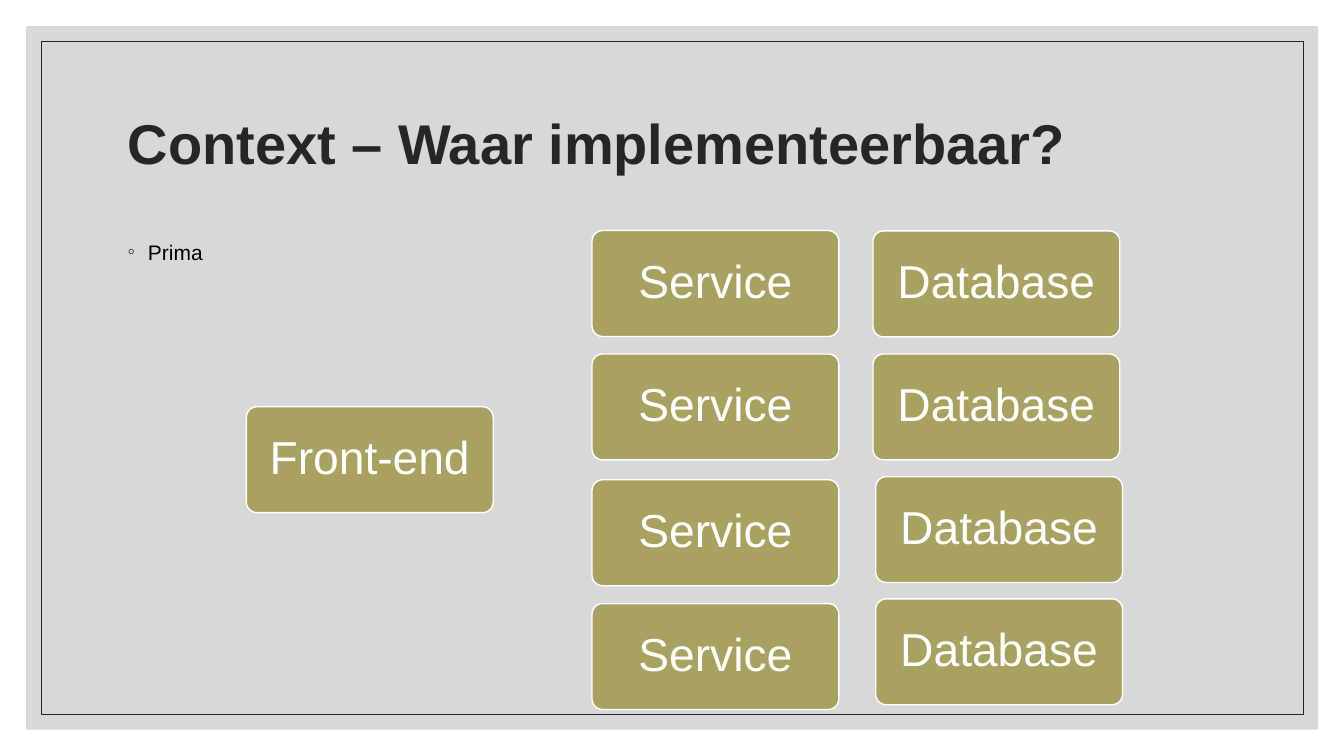
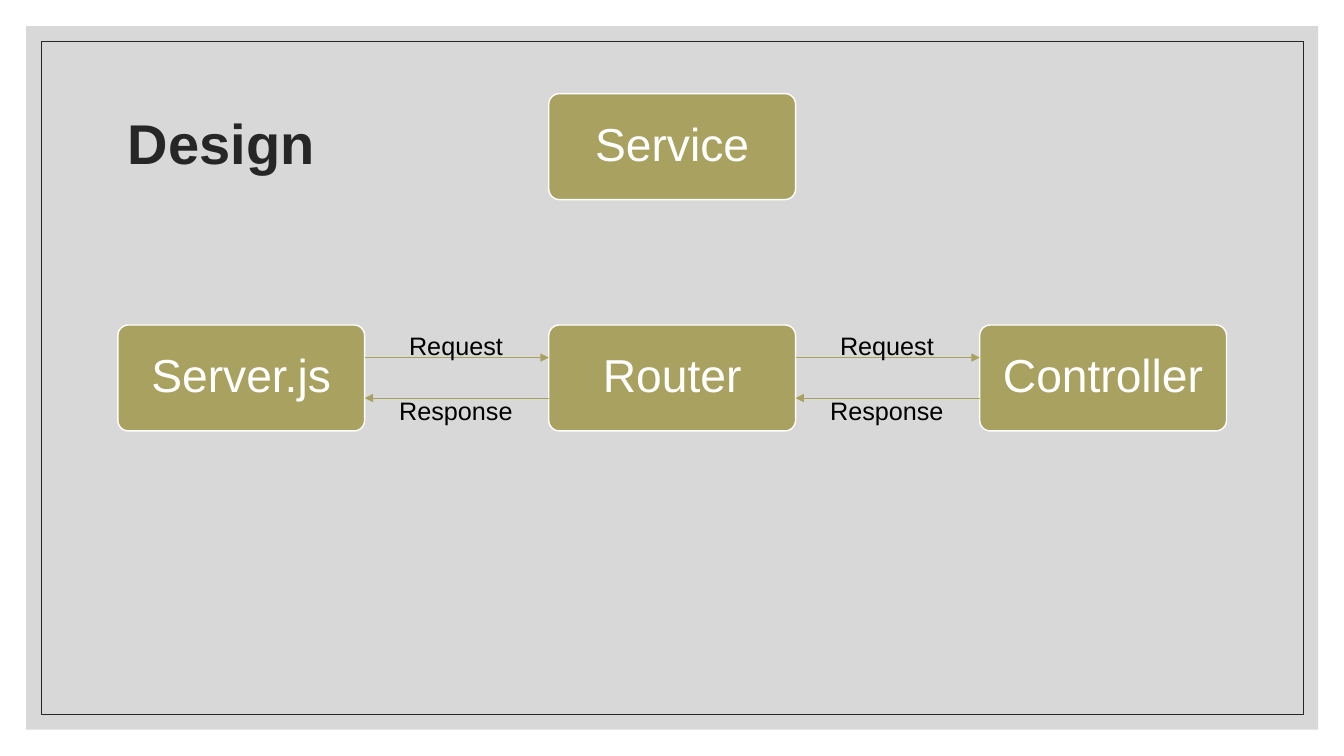
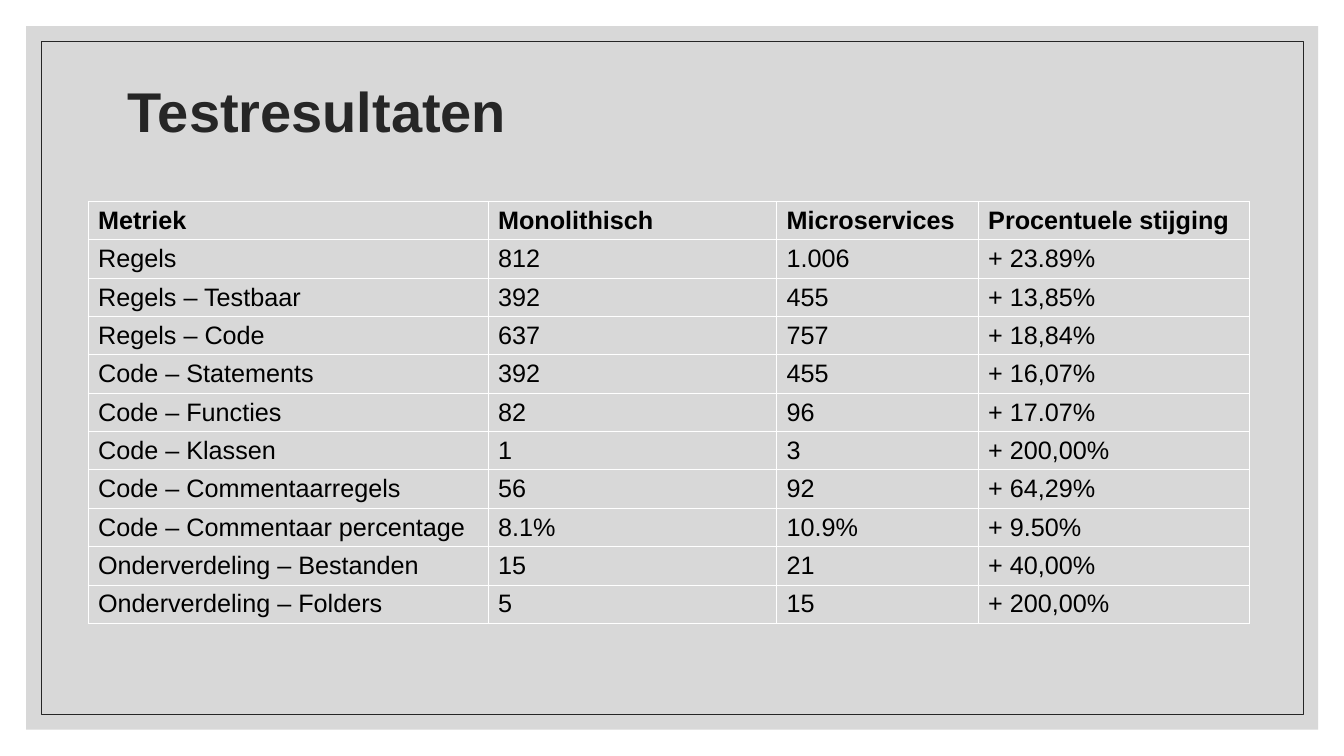
from lxml.etree import SubElement
from pptx import Presentation
from pptx.dml.color import RGBColor
from pptx.enum.shapes import MSO_CONNECTOR, MSO_SHAPE
from pptx.enum.text import MSO_ANCHOR, MSO_AUTO_SIZE, PP_ALIGN
from pptx.oxml.ns import qn
from pptx.util import Cm, Pt

FONT = "Arial"
WHITE = RGBColor(0xFF, 0xFF, 0xFF)
BLACK = RGBColor(0x00, 0x00, 0x00)
DARK = RGBColor(0x26, 0x26, 0x26)
GREY = RGBColor(0xBF, 0xBF, 0xBF)
OLIVE = RGBColor(0xA8, 0xA1, 0x5F)

BOX_W, BOX_H = 6.22, 2.67


def set_text(tf, text, size, color=BLACK, bold=False, align=PP_ALIGN.LEFT):
    tf.text = text
    p = tf.paragraphs[0]
    p.alignment = align
    r = p.runs[0]
    r.font.name = FONT
    r.font.size = Pt(size)
    r.font.bold = bold
    r.font.color.rgb = color
    return p


def add_box(s, x, y, text):
    sp = s.shapes.add_shape(MSO_SHAPE.ROUNDED_RECTANGLE, Cm(x), Cm(y), Cm(BOX_W), Cm(BOX_H))
    sp.adjustments[0] = 0.1
    sp.shadow.inherit = False
    sp.fill.solid()
    sp.fill.fore_color.rgb = OLIVE
    sp.line.color.rgb = WHITE
    sp.line.width = Pt(1)
    tf = sp.text_frame
    tf.vertical_anchor = MSO_ANCHOR.MIDDLE
    p = set_text(tf, text, 33, WHITE, align=PP_ALIGN.CENTER)
    p.line_spacing = 0.9


prs = Presentation()
prs.slide_width, prs.slide_height = Cm(33.87), Cm(19.05)
layout = prs.slide_layouts[5]

# Title position, shared through the layout
title = layout.placeholders[0]
title.left, title.top, title.width, title.height = Cm(2.97), Cm(1.78), Cm(27.94), Cm(3.81)

# Slides with their titles
slides = []
for text in ("Context – Waar implementeerbaar?", "Design", "Testresultaten"):
    s = prs.slides.add_slide(layout)
    tf = s.shapes.title.text_frame
    tf.vertical_anchor = MSO_ANCHOR.MIDDLE
    p = set_text(tf, text, 40, DARK, bold=True)
    p.line_spacing = 0.9
    slides.append(s)
context, design, results = slides

# Grey panel and thin frame, moved to the layout behind its placeholders
panel = context.shapes.add_shape(MSO_SHAPE.RECTANGLE, Cm(0.66), Cm(0.66), Cm(32.56), Cm(17.73))
panel.fill.solid()
panel.fill.fore_color.rgb = GREY
SubElement(panel.fill._xPr.find(qn("a:solidFill"))[0], qn("a:alpha"), val="60000")
panel.line.fill.background()
frame = context.shapes.add_shape(MSO_SHAPE.RECTANGLE, Cm(1.04), Cm(1.04), Cm(31.8), Cm(16.97))
frame.fill.background()
frame.line.color.rgb = DARK
frame.line.width = Pt(0.5)
for i, sp in enumerate((panel, frame)):
    sp.shadow.inherit = False
    layout.shapes.element.insert(2 + i, sp.element)

# Context: front-end, services and databases
add_box(context, 6.21, 10.25, "Front-end")
for y in (5.81, 8.92, 12.09, 15.21):
    add_box(context, 14.92, y, "Service")
for x, y in ((22, 5.82), (22, 8.92), (22.07, 12.01), (22.07, 15.09)):
    add_box(context, x, y, "Database")

# Context: bullet
sp = context.shapes.add_textbox(Cm(2.97), Cm(5.84), Cm(27.94), Cm(10.69))
sp.text_frame.word_wrap = True
p = set_text(sp.text_frame, "Prima", 15)
p.line_spacing = 1.1
p.space_before = Pt(9)
pPr = p._p.get_or_add_pPr()
pPr.set("marL", str(Cm(0.51)))
pPr.set("indent", str(-Cm(0.51)))
SubElement(SubElement(pPr, qn("a:buClr")), qn("a:srgbClr"), val=str(DARK))
SubElement(pPr, qn("a:buFont"), typeface=FONT)
SubElement(pPr, qn("a:buChar"), char="◦")

# Design: chain of components
CHAIN_X, CHAIN_STEP = 2.97, 10.86
GAP = CHAIN_STEP - BOX_W
add_box(design, CHAIN_X + CHAIN_STEP, 2.36, "Service")
for i, text in enumerate(("Server.js", "Router", "Controller")):
    add_box(design, CHAIN_X + i * CHAIN_STEP, 8.19, text)

# Design: request and response arrows with centred labels
for i in range(2):
    left = CHAIN_X + BOX_W + i * CHAIN_STEP
    right = left + GAP
    for text, start, end, y, label_y, label_w in (
        ("Request", left, right, 9.01, 8.19, 2.9),
        ("Response", right, left, 10.03, 9.84, 3.4),
    ):
        line = design.shapes.add_connector(MSO_CONNECTOR.STRAIGHT, Cm(start), Cm(y), Cm(end), Cm(y))
        line.line.color.rgb = OLIVE
        line.line.width = Pt(0.5)
        SubElement(line.line._get_or_add_ln(), qn("a:tailEnd"), type="triangle")
        SubElement(line._element.spPr, qn("a:effectLst"))
        sp = design.shapes.add_textbox(
            Cm(left + (GAP - label_w) / 2), Cm(label_y), Cm(label_w), Cm(1.02))
        sp.text_frame.word_wrap = False
        sp.text_frame.auto_size = MSO_AUTO_SIZE.SHAPE_TO_FIT_TEXT
        set_text(sp.text_frame, text, 18)

# Results: a flatter title
title = results.shapes.title
title.left, title.top, title.width, title.height = Cm(2.97), Cm(1.78), Cm(27.94), Cm(2.18)

# Results: table
rows = [
    ("Metriek", "Monolithisch", "Microservices", "Procentuele stijging"),
    ("Regels", "812", "1.006", "+ 23.89%"),
    ("Regels – Testbaar", "392", "455", "+ 13,85%"),
    ("Regels – Code", "637", "757", "+ 18,84%"),
    ("Code – Statements", "392", "455", "+ 16,07%"),
    ("Code – Functies", "82", "96", "+ 17.07%"),
    ("Code – Klassen", "1", "3", "+ 200,00%"),
    ("Code – Commentaarregels", "56", "92", "+ 64,29%"),
    ("Code – Commentaar percentage", "8.1%", "10.9%", "+ 9.50%"),
    ("Onderverdeling – Bestanden", "15", "21", "+ 40,00%"),
    ("Onderverdeling – Folders", "5", "15", "+ 200,00%"),
]
widths = (10.08, 7.27, 5.08, 6.84)
table = results.shapes.add_table(
    len(rows), len(widths), Cm(2.22), Cm(5.08), Cm(sum(widths)), Cm(10.62)).table
table.horz_banding = False
for col, width in zip(table.columns, widths):
    col.width = Cm(width)
for i, row in enumerate(rows):
    for j, text in enumerate(row):
        cell = table.cell(i, j)
        set_text(cell.text_frame, text, 18, bold=i == 0)
        tcPr = cell._tc.get_or_add_tcPr()
        for side in ("a:lnL", "a:lnR", "a:lnT", "a:lnB"):
            ln = SubElement(tcPr, qn(side), w=str(Pt(0.75)))
            SubElement(SubElement(ln, qn("a:solidFill")), qn("a:srgbClr"), val=str(WHITE))
        cell.fill.background()

prs.save("out.pptx")
